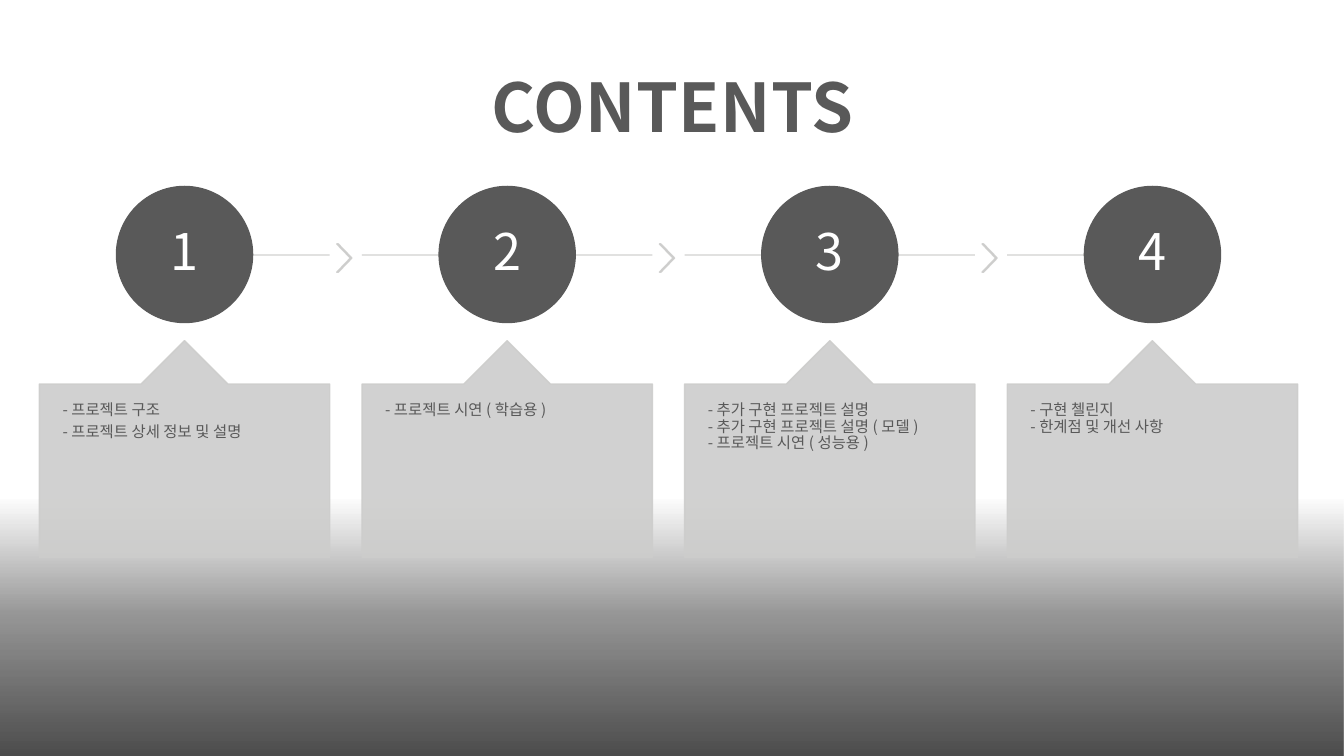
from dataclasses import dataclass

from lxml import etree
from pptx import Presentation
from pptx.dml.color import RGBColor
from pptx.enum.shapes import MSO_CONNECTOR, MSO_SHAPE
from pptx.enum.text import MSO_ANCHOR, MSO_AUTO_SIZE, PP_ALIGN
from pptx.oxml.ns import qn
from pptx.util import Inches, Pt

CENTER, LEFT = PP_ALIGN.CENTER, PP_ALIGN.LEFT
TOP, MIDDLE, BOTTOM = MSO_ANCHOR.TOP, MSO_ANCHOR.MIDDLE, MSO_ANCHOR.BOTTOM
NO_AUTOFIT = MSO_AUTO_SIZE.NONE
RECTANGLE, OVAL, CHEVRON = MSO_SHAPE.RECTANGLE, MSO_SHAPE.OVAL, MSO_SHAPE.CHEVRON
CALLOUT = MSO_SHAPE.UP_ARROW_CALLOUT
STRAIGHT = MSO_CONNECTOR.STRAIGHT
COMPARISON_LAYOUT = 4  # a title and four text placeholders

# One entry per step: its paragraphs, where \v is a line break
STEPS = [
    ["- 프로젝트 구조", "- 프로젝트 상세 정보 및 설명"],
    ["- 프로젝트 시연 ( 학습용 )"],
    ["- 추가 구현 프로젝트 설명\v- 추가 구현 프로젝트 설명 ( 모델 )\v- 프로젝트 시연 ( 성능용 )"],
    ["- 구현 첼린지\v- 한계점 및 개선 사항"],
]
SLIDE_WIDTH, SLIDE_HEIGHT = 13.33, 7.5
FIRST_LEFT, STEP_PITCH, CARD_WIDTH = 0.39, 3.2, 2.88
CARD_TOP, CARD_HEIGHT, POINTER_HEIGHT = 3.38, 2.15, 0.43
CIRCLE_TOP, CIRCLE_SIZE = 1.85, 1.35
LINE_Y = 2.53
CHEVRON_OFFSET, CHEVRON_TOP, CHEVRON_WIDTH, CHEVRON_HEIGHT = 2.95, 2.42, 0.15, 0.28
SHADE_TOP = 4.95
SHADE_STOPS = [(0, 0), (44, 40), (100, 70)]  # position and opacity, percent


@dataclass(frozen=True)
class Theme:
    font: str = "Noto Sans CJK KR"
    dark: str = "595959"
    pale: str = "CDCDCC"
    white: str = "FFFFFF"
    shade: str = "000000"
    title_size: int = 48
    number_size: int = 36
    list_size: int = 11
    pale_opacity: int = 90


def inches(*lengths):
    return [Inches(length) for length in lengths]


def set_all(target, values):
    for name, value in values.items():
        setattr(target, name, value)


def set_opacity(element, percent):
    for color in element.iter(qn("a:srgbClr")):
        etree.SubElement(color, qn("a:alpha"), val=str(percent * 1000))


class ContentsSlide:
    def __init__(self, theme, slide):
        self.theme = theme
        self.slide = slide

    def set_text(self, shape, paragraphs, size, color, align, anchor,
                 insets=(0.05, 0.05), bold=False, tracking=0, gap=0.35):
        """Fill a shape with text; gap is the space after, as a share of the size."""
        frame = shape.text_frame
        across, down = inches(*insets)
        set_all(frame, {
            "text": "\n".join(paragraphs), "word_wrap": True,
            "auto_size": NO_AUTOFIT, "vertical_anchor": anchor,
            "margin_left": across, "margin_right": across,
            "margin_top": down, "margin_bottom": down,
        })
        for paragraph in frame.paragraphs:
            set_all(paragraph, {
                "alignment": align, "line_spacing": 0.9,
                "space_before": Pt(0), "space_after": Pt(size * gap),
            })
            for run in paragraph.runs:
                set_all(run.font, {"name": self.theme.font, "size": Pt(size), "bold": bold})
                run.font.color.rgb = RGBColor.from_string(color)
                properties = run._r.get_or_add_rPr()
                properties.set("spc", str(tracking))
                etree.SubElement(properties, qn("a:ea"), typeface=self.theme.font)

    def place(self, placeholder, box):
        set_all(placeholder, dict(zip(("left", "top", "width", "height"), inches(*box))))

    def title(self, text, box):
        heading = self.slide.shapes.title
        self.place(heading, box)
        self.set_text(heading, [text], self.theme.title_size, self.theme.dark,
                      CENTER, BOTTOM, insets=(0.1, 0.05), bold=True, tracking=40, gap=0)

    def topics(self, index, paragraphs, box):
        """Put a list into a text placeholder, without bullets and above its card."""
        body = self.slide.placeholders[index]
        self.place(body, box)
        self.set_text(body, paragraphs, self.theme.list_size, self.theme.dark,
                      LEFT, TOP, insets=(0.23, 0.18))
        for paragraph in body.text_frame.paragraphs:
            properties = paragraph._p.get_or_add_pPr()
            properties.set("marL", "0")
            properties.set("indent", "0")
            etree.SubElement(properties, qn("a:buNone"))
        body.element.getparent().append(body.element)

    def shape(self, kind, box, color, adjustments=(), opacity=100):
        drawn = self.slide.shapes.add_shape(kind, *inches(*box))
        drawn.shadow.inherit = False
        for position, value in enumerate(adjustments):
            drawn.adjustments[position] = value
        drawn.fill.solid()
        drawn.fill.fore_color.rgb = RGBColor.from_string(color)
        drawn.line.color.rgb = RGBColor.from_string(color)
        drawn.line.width = Pt(1)
        if opacity < 100:
            set_opacity(drawn.element, opacity)
        return drawn

    def pale_shape(self, kind, box, adjustments):
        self.shape(kind, box, self.theme.pale, adjustments, self.theme.pale_opacity)

    def track(self, start, end, y):
        line = self.slide.shapes.add_connector(STRAIGHT, *inches(start, y, end, y))
        line.line.color.rgb = RGBColor.from_string(self.theme.pale)
        line.line.width = Pt(1)
        etree.SubElement(line.element.spPr, qn("a:effectLst"))
        set_opacity(line.element, self.theme.pale_opacity)

    def number(self, value, box):
        circle = self.shape(OVAL, box, self.theme.dark)
        self.set_text(circle, [str(value)], self.theme.number_size, self.theme.white,
                      CENTER, MIDDLE)

    def shade(self, box, stops):
        """Draw a band that darkens from top to bottom."""
        band = self.slide.shapes.add_shape(RECTANGLE, *inches(*box))
        band.shadow.inherit = False
        band.line.fill.background()
        band.fill.gradient()
        band.fill.gradient_angle = 270
        stop_list = next(band.element.iter(qn("a:gsLst")))
        for stop in list(stop_list):
            stop_list.remove(stop)
        for position, opacity in stops:
            stop = etree.SubElement(stop_list, qn("a:gs"), pos=str(position * 1000))
            etree.SubElement(stop, qn("a:srgbClr"), val=self.theme.shade)
            set_opacity(stop, opacity)


def main():
    deck = Presentation()
    deck.slide_width, deck.slide_height = inches(SLIDE_WIDTH, SLIDE_HEIGHT)
    contents = ContentsSlide(Theme(), deck.slides.add_slide(deck.slide_layouts[COMPARISON_LAYOUT]))

    contents.shade((0, SHADE_TOP, SLIDE_WIDTH, SLIDE_HEIGHT - SHADE_TOP), SHADE_STOPS)
    contents.title("CONTENTS", (1.67, 0.25, 10, 1.26))
    for number, paragraphs in enumerate(STEPS, start=1):
        left = FIRST_LEFT + (number - 1) * STEP_PITCH
        right, center = left + CARD_WIDTH, left + CARD_WIDTH / 2
        is_first, is_last = number == 1, number == len(STEPS)
        contents.track(center if is_first else left, center if is_last else right, LINE_Y)
        if not is_last:
            contents.pale_shape(CHEVRON, (left + CHEVRON_OFFSET, CHEVRON_TOP,
                                          CHEVRON_WIDTH, CHEVRON_HEIGHT), [0.9])
        contents.number(number, (center - CIRCLE_SIZE / 2, CIRCLE_TOP, CIRCLE_SIZE, CIRCLE_SIZE))
        contents.pale_shape(CALLOUT, (left, CARD_TOP, CARD_WIDTH, CARD_HEIGHT), [0.5, 0.2, 0.2, 1])
        contents.topics(number, paragraphs, (left, CARD_TOP + POINTER_HEIGHT,
                                             CARD_WIDTH, CARD_HEIGHT - POINTER_HEIGHT))
    deck.save("out.pptx")


if __name__ == "__main__":
    main()
